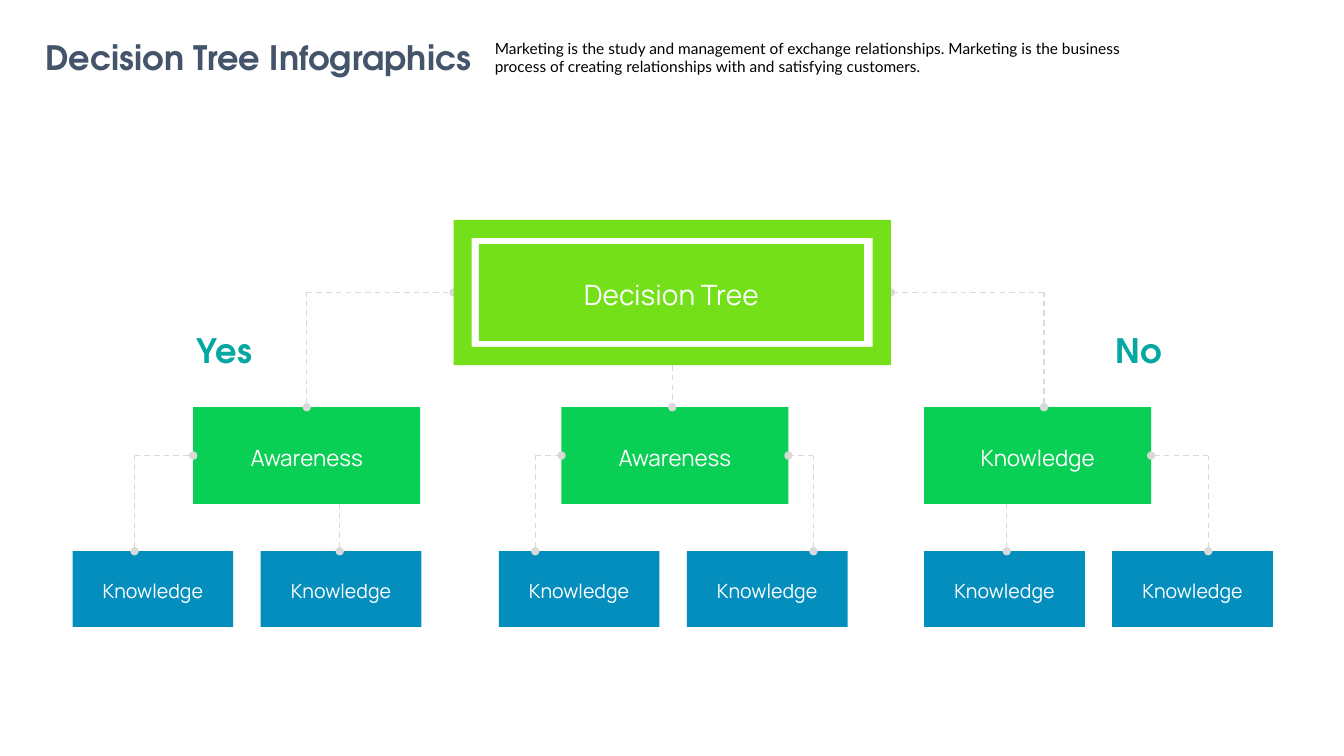
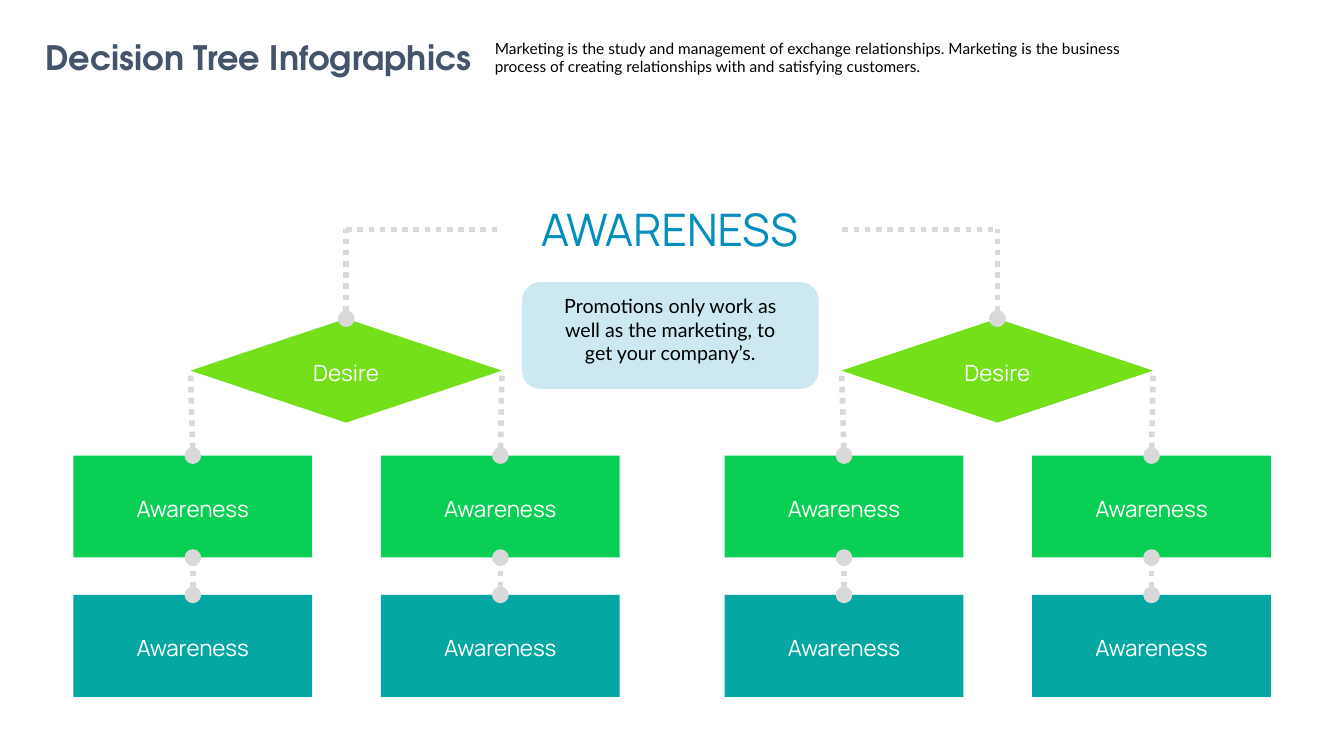
from collections import namedtuple
from dataclasses import dataclass

from lxml import etree
from pptx import Presentation
from pptx.dml.color import RGBColor
from pptx.enum.dml import MSO_LINE
from pptx.enum.shapes import MSO_CONNECTOR, MSO_SHAPE
from pptx.enum.text import MSO_ANCHOR, MSO_AUTO_SIZE, PP_ALIGN
from pptx.oxml.ns import qn
from pptx.util import Cm, Pt

RECT, FRAME = MSO_SHAPE.RECTANGLE, MSO_SHAPE.FRAME
DIAMOND, ROUNDED = MSO_SHAPE.DIAMOND, MSO_SHAPE.ROUNDED_RECTANGLE
STRAIGHT = MSO_CONNECTOR.STRAIGHT
DASH, DOT = MSO_LINE.DASH, MSO_LINE.ROUND_DOT
LEFT_ALIGN, CENTER = PP_ALIGN.LEFT, PP_ALIGN.CENTER
ANCHOR_TOP, ANCHOR_MIDDLE = MSO_ANCHOR.TOP, MSO_ANCHOR.MIDDLE
TOP, LEFT, BOTTOM, RIGHT = range(4)
TITLE_ONLY = 5

HEADING = "Decision Tree Infographics"
INTRO = ("Marketing is the study and management of exchange relationships. "
         "Marketing is the business process of creating relationships with "
         "and satisfying customers.")

ROOT = "Decision Tree"
BRANCHES = [("Awareness", 4.87), ("Awareness", 14.15), ("Knowledge", 23.29)]
LEAF_LABEL = "Knowledge"
LEAF_PAIR_LEFTS = [1.83, 12.57, 23.29]
ANSWERS = [("Yes", 4.6), ("No", 27.64)]
ROOT_LINKS = [(0, LEFT, 7.71), (2, RIGHT, 26.31)]
LEAF_LINKS = [(0, LEFT, 3.39), (0, BOTTOM, 8.56), (1, LEFT, 13.49),
              (1, RIGHT, 20.5), (2, BOTTOM, 25.37), (2, RIGHT, 30.45)]

TOPIC = "AWARENESS"
PROMOTION = "Promotions only work as well as the marketing, to get your company’s."
DESIRE, STEP = "Desire", "Awareness"
SIDES = [(1.85, 4.8, 12.6), (18.26, 21.21, 21.23)]


@dataclass(frozen=True)
class Theme:
    slate = RGBColor.from_string("44546A")
    black = RGBColor.from_string("000000")
    white = RGBColor.from_string("FFFFFF")
    lime = RGBColor.from_string("73E019")
    green = RGBColor.from_string("09D054")
    teal = RGBColor.from_string("04A7A2")
    blue = RGBColor.from_string("048EBD")
    grey = RGBColor.from_string("D9D9D9")
    title = {"name": "TeX Gyre Adventor", "size": Pt(24), "bold": True}
    intro = {"name": "Lato", "size": Pt(11)}
    note = {"name": "Lato", "size": Pt(14)}
    topic = {"name": "Manrope", "size": Pt(32)}
    root = {"name": "Manrope", "size": Pt(20)}
    branch = {"name": "Manrope", "size": Pt(16)}
    leaf = {"name": "Manrope", "size": Pt(14)}
    dashed = {"width": Pt(1), "dash_style": DASH}
    dotted = {"width": Pt(4), "dash_style": DOT}


THEME = Theme()
BOX_TEXT = {"margin_left": Cm(0.2), "margin_right": Cm(0.2), "margin_top": Cm(0.1),
            "margin_bottom": 0, "vertical_anchor": ANCHOR_MIDDLE, "word_wrap": True}
NOTE_TEXT = {**BOX_TEXT, "margin_left": Cm(0.6), "margin_right": Cm(0.6),
             "margin_bottom": Cm(0.4)}
FREE_TEXT = {"word_wrap": True, "auto_size": MSO_AUTO_SIZE.NONE,
             "vertical_anchor": ANCHOR_TOP}
TITLE_TEXT = {**FREE_TEXT, "word_wrap": False}

Point = namedtuple("Point", "x y box site", defaults=(None, None))


def apply(target, formats):
    for name, value in formats.items():
        setattr(target, name, value)


def write(box, text, style, color, layout, align=CENTER):
    apply(box.text_frame, layout)
    para = box.text_frame.paragraphs[0]
    para.alignment = align
    span = para.add_run()
    span.text = text
    apply(span.font, style)
    span.font.color.rgb = color


def add_label(page, place, text, style, color, align=CENTER):
    box = page.shapes.add_textbox(*map(Cm, place))
    write(box, text, style, color, FREE_TEXT, align)


def add_box(page, kind, place, fill, text=None, style=None,
            color=THEME.white, layout=BOX_TEXT):
    box = page.shapes.add_shape(kind, *map(Cm, place))
    box.shadow.inherit = False
    box.fill.solid()
    box.fill.fore_color.rgb = fill
    box.line.fill.background()
    if text:
        write(box, text, style, color, layout)
    return box


def bend(x, y):
    return Point(Cm(x), Cm(y))


def side_of(box, site):
    across = {LEFT: 0, RIGHT: box.width}.get(site, box.width // 2)
    down = {TOP: 0, BOTTOM: box.height}.get(site, box.height // 2)
    return Point(box.left + across, box.top + down, box, site)


def link(page, start, end, style, dots=()):
    line = page.shapes.add_connector(STRAIGHT, start.x, start.y, end.x, end.y)
    if start.box is not None:
        line.begin_connect(start.box, start.site)
    if end.box is not None:
        line.end_connect(end.box, end.site)
    line.line.color.rgb = THEME.grey
    apply(line.line, style)
    outline = line.line._get_or_add_ln()
    for dot in dots:
        etree.SubElement(outline, qn(f"a:{dot}End"), type="oval")
    etree.SubElement(line._element.spPr, qn("a:effectLst"))


def link_elbow(page, start, end, style):
    corner = Point(start.x, end.y)
    link(page, start, corner, style, ["head"])
    link(page, corner, end, style, ["tail"])


def bring_to_front(page, box):
    page.shapes._spTree.append(box._element)


def add_page(deck):
    page = deck.slides.add_slide(deck.slide_layouts[TITLE_ONLY])
    title = page.shapes.title
    apply(title, dict(left=Cm(0.81), top=Cm(0.81), width=Cm(11.4), height=Cm(1.27)))
    write(title, HEADING, THEME.title, THEME.slate, TITLE_TEXT)
    add_label(page, (12.22, 0.86, 16.76, 1.2), INTRO, THEME.intro,
              THEME.black, LEFT_ALIGN)
    return page


def build_tree(deck):
    page = add_page(deck)
    branch_top, leaf_top, leaf_step = 10.26, 13.89, 4.74
    add_box(page, RECT, (12.07, 6.15, 9.7, 2.44), THEME.lime, ROOT, THEME.root)
    root = add_box(page, FRAME, (11.43, 5.54, 11.02, 3.66), THEME.lime)
    branches = [add_box(page, RECT, (left, branch_top, 5.72, 2.44), THEME.green,
                        text, THEME.branch) for text, left in BRANCHES]
    for pair_left in LEAF_PAIR_LEFTS:
        for column in range(2):
            place = (pair_left + column * leaf_step, leaf_top, 4.05, 1.91)
            add_box(page, RECT, place, THEME.blue, LEAF_LABEL, THEME.leaf)
    for text, left in ANSWERS:
        add_label(page, (left, 8.18, 2.11, 1.27), text, THEME.title, THEME.teal)

    for index, side, x in ROOT_LINKS:
        start = side_of(branches[index], TOP) if index == 0 else bend(x, branch_top)
        link_elbow(page, start, side_of(root, side), THEME.dashed)
    stem = side_of(root, BOTTOM)
    link(page, stem, Point(stem.x, Cm(branch_top)), THEME.dashed, ["tail"])
    for index, side, x in LEAF_LINKS:
        start, end = bend(x, leaf_top), side_of(branches[index], side)
        if side == BOTTOM:
            link(page, start, Point(start.x, end.y), THEME.dashed, ["head"])
        else:
            link_elbow(page, start, end, THEME.dashed)
    bring_to_front(page, root)


def build_flow(deck):
    page = add_page(deck)
    topic_y, column_step = 5.78, 7.75
    note = add_box(page, ROUNDED, (13.16, 7.11, 7.47, 2.69), THEME.blue, PROMOTION,
                   THEME.note, THEME.black, NOTE_TEXT)
    tint = note._element.spPr.find(f"{qn('a:solidFill')}/{qn('a:srgbClr')}")
    etree.SubElement(tint, qn("a:alpha"), val="20000")
    add_label(page, (12.95, 4.95, 7.85, 1.63), TOPIC, THEME.topic, THEME.blue)

    for pair_left, diamond_left, inner_x in SIDES:
        diamond = add_box(page, DIAMOND, (diamond_left, 8.03, 7.85, 2.62),
                          THEME.lime, DESIRE, THEME.branch)
        for column, corner in enumerate((LEFT, RIGHT)):
            left = pair_left + column * column_step
            upper, lower = [
                add_box(page, RECT, (left, top, 6.02, 2.57), fill, STEP, THEME.branch)
                for top, fill in ((11.48, THEME.green), (14.99, THEME.teal))]
            link(page, side_of(upper, TOP), side_of(diamond, corner),
                 THEME.dotted, ["head"])
            link(page, side_of(lower, TOP), side_of(upper, BOTTOM),
                 THEME.dotted, ["head", "tail"])
        bring_to_front(page, diamond)
        peak = side_of(diamond, TOP)
        link(page, peak, Point(peak.x, Cm(topic_y)), THEME.dotted, ["head"])
        ends = sorted([Point(peak.x, Cm(topic_y)), bend(inner_x, topic_y)],
                      key=lambda point: point.x)
        link(page, *ends, THEME.dotted)


def main():
    deck = Presentation()
    deck.slide_width, deck.slide_height = Cm(33.87), Cm(19.05)
    build_tree(deck)
    build_flow(deck)
    deck.save("out.pptx")


if __name__ == "__main__":
    main()
